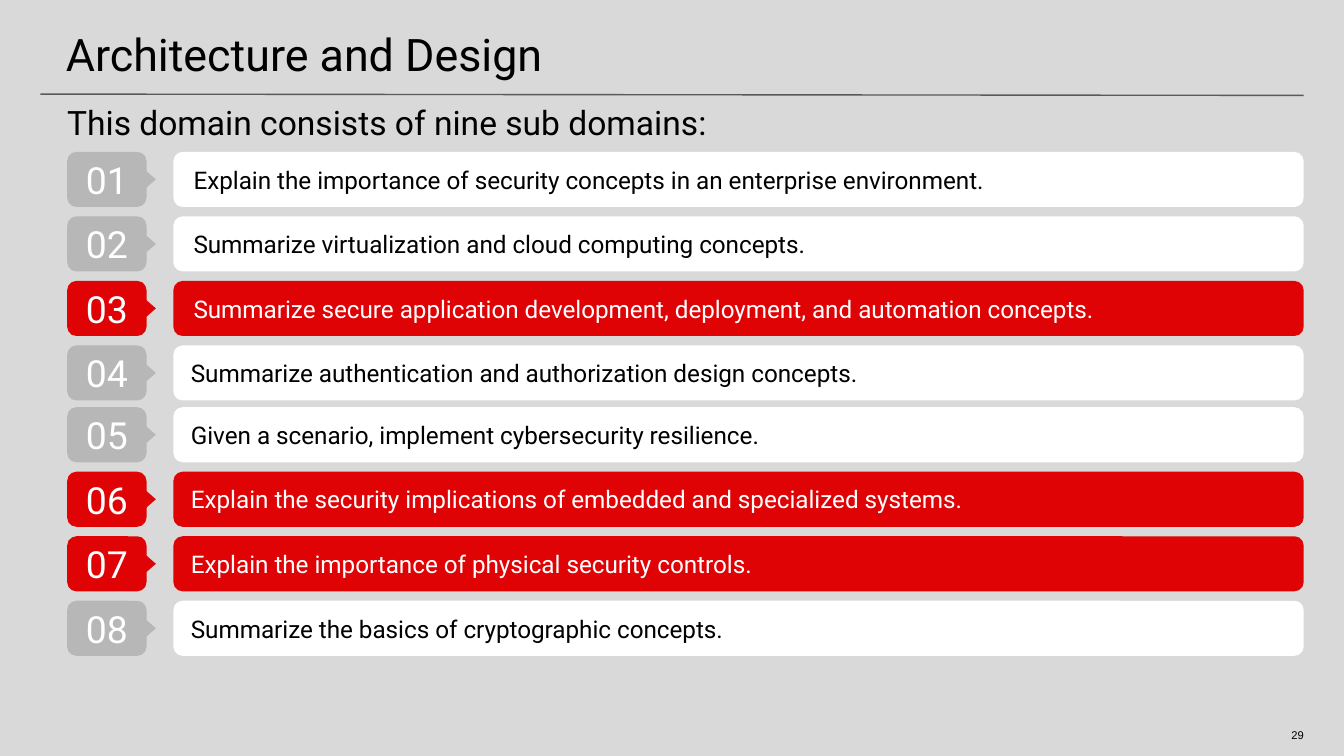
from lxml import etree
from pptx import Presentation
from pptx.dml.color import RGBColor
from pptx.enum.shapes import MSO_CONNECTOR, MSO_SHAPE
from pptx.enum.text import MSO_ANCHOR, PP_ALIGN
from pptx.oxml.ns import qn
from pptx.util import Inches, Pt

ROUNDED = MSO_SHAPE.ROUNDED_RECTANGLE
POINTER = MSO_SHAPE.FLOWCHART_EXTRACT
STRAIGHT = MSO_CONNECTOR.STRAIGHT
TOP, MIDDLE = MSO_ANCHOR.TOP, MSO_ANCHOR.MIDDLE
LEFT, CENTER, RIGHT = PP_ALIGN.LEFT, PP_ALIGN.CENTER, PP_ALIGN.RIGHT

SLIDE_W = 10
SLIDE_H = SLIDE_W * 9 / 16
BACKGROUND, RULE = "D9D9D9", "595959"
RED, GREY, WHITE, BLACK = "DF0305", "B7B7B7", "FFFFFF", "000000"

# Grid: one column each for number, bar and wording; two blocks of four rows
NUMBER_X, BAR_X, RIGHT_EDGE = 0.5, 1.29, 9.7
NUMBER_W, ROW_H = 0.59, 0.41
FIRST_ROW_Y, ROW_PITCH = 1.13, 0.48
BLOCK_ROWS, BLOCK_PITCH = 4, 1.9
POINTER_W, POINTER_H = 0.28, 0.16
INDENTED_ROWS = 3

# Wording and whether the row is highlighted
SUBDOMAINS = [
    ("Explain the importance of security concepts in an enterprise environment.", False),
    ("Summarize virtualization and cloud computing concepts.", False),
    ("Summarize secure application development, deployment, and automation concepts.", True),
    ("Summarize authentication and authorization design concepts.", False),
    ("Given a scenario, implement cybersecurity resilience.", False),
    ("Explain the security implications of embedded and specialized systems.", True),
    ("Explain the importance of physical security controls.", True),
    ("Summarize the basics of cryptographic concepts.", False),
]


def color(hex_value):
    return RGBColor.from_string(hex_value)


def write(shape, text, size, ink=BLACK, font="Roboto", align=LEFT,
          anchor=TOP, insets=(0, 0, 0, 0)):
    frame = shape.text_frame
    left, top, right, bottom = (Inches(inset) for inset in insets)
    frame_format = {"word_wrap": True, "vertical_anchor": anchor,
                    "margin_left": left, "margin_top": top,
                    "margin_right": right, "margin_bottom": bottom}
    for key, value in frame_format.items():
        setattr(frame, key, value)
    paragraph = frame.paragraphs[0]
    paragraph.alignment = align
    run = paragraph.add_run()
    run.text = text
    for key, value in {"name": font, "size": Pt(size)}.items():
        setattr(run.font, key, value)
    run.font.color.rgb = color(ink)


def add_text(shapes, box, text, size, **style):
    write(shapes.add_textbox(*map(Inches, box)), text, size, **style)


def add_block(shapes, preset, box, fill):
    block = shapes.add_shape(preset, *map(Inches, box))
    block.shadow.inherit = False
    block.fill.solid()
    block.fill.fore_color.rgb = color(fill)
    block.line.fill.background()
    return block


def add_rule(shapes, start, end):
    rule = shapes.add_connector(STRAIGHT, *map(Inches, start + end))
    rule.line.color.rgb = color(RULE)
    rule.line.width = Pt(0.75)
    etree.SubElement(rule._element.spPr, qn("a:effectLst"))


def add_number(shapes, y, number, fill):
    """Number badge with a pointer on its right side."""
    group = shapes.add_group_shape().shapes
    badge = add_block(group, ROUNDED, (NUMBER_X, y, NUMBER_W, ROW_H), fill)
    write(badge, f"{number:02d}", 20, ink=WHITE, align=CENTER, anchor=MIDDLE,
          insets=(0.1, 0.1, 0.1, 0.1))
    pointer_box = (0.94, y + (ROW_H - POINTER_H) / 2, POINTER_W, POINTER_H)
    add_block(group, POINTER, pointer_box, fill).rotation = 90


def add_subdomain(shapes, index, wording, highlighted):
    block, row = divmod(index, BLOCK_ROWS)
    y = FIRST_ROW_Y + block * BLOCK_PITCH + row * ROW_PITCH
    add_block(shapes, ROUNDED, (BAR_X, y, RIGHT_EDGE - BAR_X, ROW_H),
              RED if highlighted else WHITE)
    add_number(shapes, y, index + 1, RED if highlighted else GREY)
    wording_x = 1.44 if index < INDENTED_ROWS else 1.42
    add_text(shapes, (wording_x, y, 8.19, ROW_H), wording, 13,
             ink=WHITE if highlighted else BLACK, anchor=MIDDLE)


def main():
    deck = Presentation()
    deck.slide_width, deck.slide_height = Inches(SLIDE_W), Inches(SLIDE_H)
    slide = deck.slides.add_slide(deck.slide_layouts[6])
    slide.background.fill.solid()
    slide.background.fill.fore_color.rgb = color(BACKGROUND)
    shapes = slide.shapes

    # Heading
    add_rule(shapes, (0.3, 0.7), (RIGHT_EDGE, 0.71))
    add_text(shapes, (0, 0, SLIDE_W, 0.58), "Architecture and Design", 24,
             insets=(0.49, 0.2, 0.3, 0.1))
    add_text(shapes, (0, 0.66, SLIDE_W, 0.4),
             "This domain consists of nine sub domains:", 18,
             insets=(0.5, 0.1, 0.5, 0))

    # Subdomain list
    for index, (wording, highlighted) in enumerate(SUBDOMAINS):
        add_subdomain(shapes, index, wording, highlighted)

    # Page number
    add_text(shapes, (9.41, 5.42, 0.29, 0.12), "29", 6, font="Arial",
             align=RIGHT, insets=(0, 0, 0, 0.1))

    deck.save("out.pptx")


if __name__ == "__main__":
    main()
